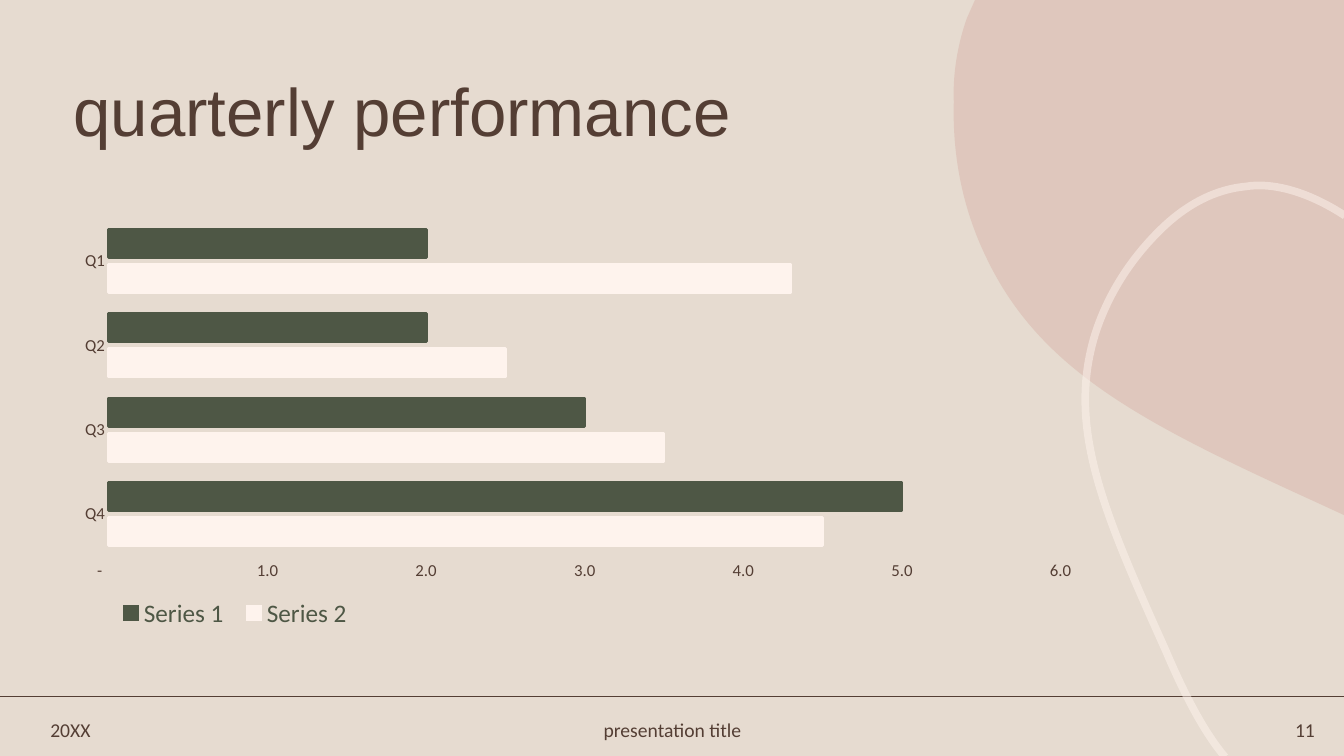
from lxml.etree import SubElement
from pptx import Presentation
from pptx.chart.data import CategoryChartData
from pptx.dml.color import RGBColor
from pptx.enum.chart import XL_CHART_TYPE as ChartType
from pptx.enum.chart import XL_LEGEND_POSITION as LegendPosition
from pptx.enum.chart import XL_TICK_MARK as TickMark
from pptx.enum.shapes import MSO_CONNECTOR as Connector
from pptx.enum.text import MSO_ANCHOR as Anchor
from pptx.enum.text import PP_ALIGN as Align
from pptx.oxml.ns import qn
from pptx.util import Inches, Pt

SAND, BROWN, GREEN = "E6DBD0", "543E34", "4E5745"
ROSE, CREAM = "CF9B92", "FEF3ED"
NUMBER_FORMAT = r'_(* #,##0.0_);_(* \(#,##0.0\);_(* "-"??_);_(@_)'
UNITS = 100  # outline units per inch
CHART_PLACE = (0.63, 2.08, 10.24, 4.24)

# Each segment lists its end point, or two control points and the end point
BLOB_PLACE = (9.46, 0, 3.88, 5.11)
BLOB = [
    [(9.67, 0)], [(13.33, 0)], [(13.33, 5.11)], [(13.07, 4.99)],
    [(11.36, 4.21), (10.32, 3.69), (9.78, 2.55)],
    [(9.48, 1.93), (9.45, 1.35), (9.46, 1.01)],
    [(9.45, 0.79), (9.48, 0.49), (9.59, 0.18)],
]
LOOP_PLACE = (10.77, 1.84, 2.58, 5.67)
LOOP = [
    [(12.15, 7.51)],
    [(11.98, 7.31), (11.79, 6.99), (11.56, 6.45)],
    [(10.94, 5.07), (10.58, 4.24), (10.86, 3.32)],
    [(11.01, 2.85), (11.27, 2.53), (11.44, 2.35)],
    [(11.61, 2.17), (11.92, 1.89), (12.36, 1.85)],
    [(12.41, 1.84), (12.47, 1.84), (12.52, 1.84)],
    [(12.79, 1.85), (13.08, 1.97), (13.34, 2.14)],
]


def color(hex_value):
    return RGBColor.from_string(hex_value)


def style_font(font, name, size, hex_value):
    font.name, font.size = name, Pt(size)
    font.color.rgb = color(hex_value)


def set_opacity(shape, percent):
    for element in shape._element.spPr.iter(qn("a:srgbClr")):
        SubElement(element, qn("a:alpha")).set("val", str(percent * 1000))


def add_outline(page, place, segments, closed):
    """Draw a freeform with curves inside the frame given by place."""
    left, top, width, height = (round(length * UNITS) for length in place)
    builder = page.shapes.build_freeform(left, top, scale=Inches(1) / UNITS)
    builder.add_line_segments([(left + width, top + height)], close=False)
    shape = builder.convert_to_shape()
    shape.shadow.inherit = False

    # Replace the frame's diagonal by the real segments
    outline = next(shape._element.iter(qn("a:path")))
    for child in list(outline):
        outline.remove(child)
    for index, segment in enumerate(segments):
        tag = "cubicBezTo" if len(segment) == 3 else "lnTo" if index else "moveTo"
        command = SubElement(outline, qn(f"a:{tag}"))
        for x, y in segment:
            point = SubElement(command, qn("a:pt"))
            point.set("x", str(round(x * UNITS) - left))
            point.set("y", str(round(y * UNITS) - top))
    if closed:
        SubElement(outline, qn("a:close"))
    return shape


def add_decoration(page):
    blob = add_outline(page, BLOB_PLACE, BLOB, True)
    blob.fill.solid()
    blob.fill.fore_color.rgb = color(ROSE)
    blob.line.fill.background()
    set_opacity(blob, 30)

    loop = add_outline(page, LOOP_PLACE, LOOP, False)
    loop.fill.background()
    loop.line.color.rgb = color(CREAM)
    loop.line.width = Pt(5.5)
    set_opacity(loop, 50)


def add_rule(page, top, width):
    rule = page.shapes.add_connector(
        Connector.STRAIGHT, 0, Inches(top), Inches(width), Inches(top))
    rule.line.color.rgb = color(BROWN)
    rule.line.width = Pt(1.25)
    SubElement(rule._element.spPr, qn("a:effectLst"))


def add_text(page, text, place, font_name, size, align=Align.LEFT, spacing=1.0):
    box = page.shapes.add_textbox(*map(Inches, place))
    frame = box.text_frame
    frame.word_wrap = True
    frame.vertical_anchor = Anchor.MIDDLE
    frame.text = text
    para = frame.paragraphs[0]
    para.alignment, para.line_spacing = align, spacing
    style_font(para.runs[0].font, font_name, size, BROWN)


def set_layout(element, left, top, width, height, inner=False):
    """Place a chart part, in inches from the chart's corner."""
    layout = element.find(qn("c:layout"))
    if layout is None:
        layout = SubElement(element, qn("c:layout"))
        element.insert(1 if element.tag == qn("c:legend") else 0, layout)
    manual = SubElement(layout, qn("c:manualLayout"))
    chart_width, chart_height = CHART_PLACE[2:]
    settings = [("layoutTarget", "inner")] if inner else []
    settings += [("xMode", "edge"), ("yMode", "edge"),
                 ("x", left / chart_width), ("y", top / chart_height),
                 ("w", width / chart_width), ("h", height / chart_height)]
    for tag, value in settings:
        SubElement(manual, qn(f"c:{tag}")).set("val", str(value))


def style_axis(axis):
    axis.has_major_gridlines = False
    axis.major_tick_mark = axis.minor_tick_mark = TickMark.NONE
    axis.format.line.fill.background()
    style_font(axis.tick_labels.font, "Calibri", 12, BROWN)


def add_quarter_chart(page):
    data = CategoryChartData()
    data.categories = ["Q4", "Q3", "Q2", "Q1"]
    data.add_series("Series 2", (4.5, 3.5, 2.5, 4.3))
    data.add_series("Series 1", (5, 3, 2, 2))
    chart = page.shapes.add_chart(
        ChartType.BAR_CLUSTERED, *map(Inches, CHART_PLACE), data).chart
    chart.has_title = False
    style_font(chart.font, "Calibri", 10, BROWN)

    # Bars
    plot = chart.plots[0]
    plot.gap_width, plot.overlap, plot.vary_by_categories = 75, -25, False
    for series, hex_value in zip(plot.series, (CREAM, GREEN)):
        series.format.fill.solid()
        series.format.fill.fore_color.rgb = color(hex_value)
        series.format.line.color.rgb = color(hex_value)
        series.format.line.width = Pt(2)

    # Axes
    style_axis(chart.category_axis)
    values = chart.value_axis
    style_axis(values)
    values.minimum_scale, values.maximum_scale, values.major_unit = 0, 6, 1
    values.tick_labels.number_format = NUMBER_FORMAT
    values.tick_labels.number_format_is_linked = False

    # Legend and placement
    chart.has_legend = True
    legend = chart.legend
    legend.position = LegendPosition.BOTTOM
    legend.include_in_layout = False
    style_font(legend.font, "Calibri", 18, GREEN)
    set_layout(chart._chartSpace.chart.plotArea, 0.45, 0.09, 9.44, 3.35, inner=True)
    set_layout(legend._element, 0.45, 3.77, 2.5, 0.47)


def main():
    deck = Presentation()
    deck.slide_width, deck.slide_height = Inches(13.33), Inches(7.5)
    page = deck.slides.add_slide(deck.slide_layouts[6])
    page.background.fill.solid()
    page.background.fill.fore_color.rgb = color(SAND)

    add_rule(page, 6.91, 13.33)
    add_decoration(page)
    add_text(page, "quarterly performance", (0.63, 0.77, 11.5, 0.74), "Arial", 48,
             spacing=0.9)
    add_quarter_chart(page)

    # Footer
    for text, left, width, align in (
            ("20XX", 0.4, 1.08, Align.LEFT),
            ("presentation title", 4.79, 3.76, Align.CENTER),
            ("11", 12.06, 1.08, Align.RIGHT)):
        add_text(page, text, (left, 7.07, width, 0.34), "Calibri", 14, align)

    deck.save("out.pptx")


if __name__ == "__main__":
    main()
